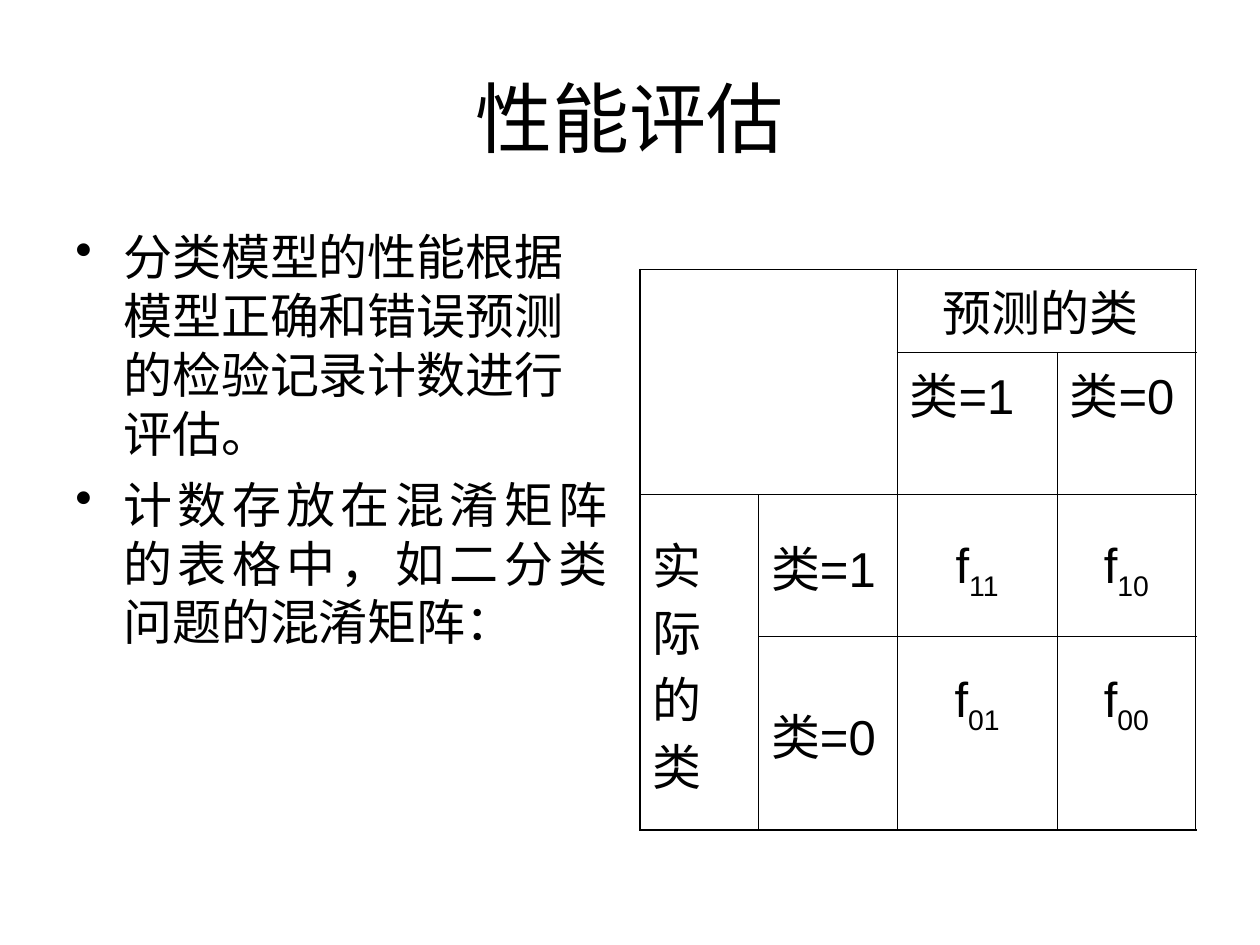
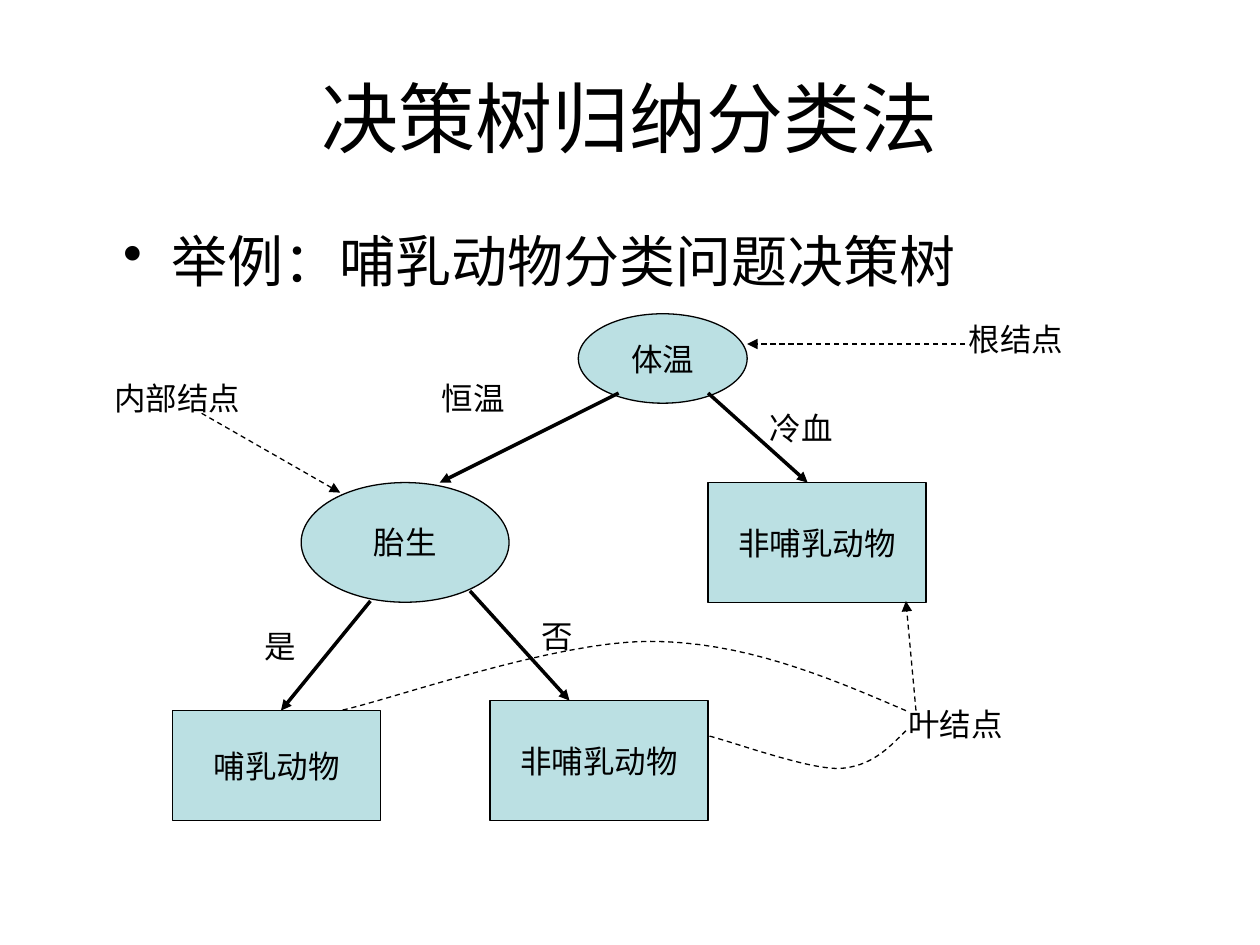
from lxml.etree import SubElement
from pptx import Presentation
from pptx.dml.color import RGBColor
from pptx.enum.dml import MSO_LINE
from pptx.enum.lang import MSO_LANGUAGE_ID as LANG
from pptx.enum.shapes import MSO_CONNECTOR, MSO_SHAPE
from pptx.enum.text import MSO_ANCHOR as ANCHOR, PP_ALIGN as ALIGN
from pptx.oxml.ns import qn
from pptx.util import Inches, Pt

COLORS = {"ink": "000000", "node": "BBE0E3", "paper": "FFFFFF"}
FONT = "Arial"
BODY_SIZE, LABEL_SIZE = 28, 18
OUTER_BORDER, INNER_BORDER = 1.08, 0.45


def rgb(name):
    return RGBColor.from_string(COLORS[name])


def add_run(p, text, size, subscript=False):
    r = p.add_run()
    r.text = text
    f = r.font
    f.name, f.size, f.language_id = FONT, Pt(size), LANG.SIMPLIFIED_CHINESE
    f.color.rgb = rgb("ink")
    rPr = f._element
    SubElement(rPr, qn("a:ea")).set("typeface", FONT)
    if subscript:
        rPr.set("baseline", "-25000")


def next_paragraph(tf, index, gap=7):
    """Return the first paragraph, or a new one set off by gap points."""
    if index == 0:
        return tf.paragraphs[0]
    p = tf.add_paragraph()
    p.space_before = Pt(gap)
    return p


def add_textbox(slide, box, anchor=ANCHOR.TOP):
    tf = slide.shapes.add_textbox(*map(Inches, box)).text_frame
    tf.word_wrap = True
    tf.vertical_anchor = anchor
    return tf


def add_title(slide, text):
    p = add_textbox(slide, (0.5, 0.3, 9, 1.25), ANCHOR.MIDDLE).paragraphs[0]
    p.alignment = ALIGN.CENTER
    add_run(p, text, 44)


def add_bullets(slide, box, items, size):
    """Add bulleted (text, alignment) items."""
    tf = add_textbox(slide, box)
    for i, (text, align) in enumerate(items):
        p = next_paragraph(tf, i)
        pPr = p._p.get_or_add_pPr()
        pPr.set("marL", str(Inches(0.38)))
        pPr.set("indent", str(Inches(-0.38)))
        SubElement(pPr, qn("a:buChar")).set("char", "•")
        p.alignment = align
        add_run(p, text, size)


def add_label(slide, text, box):
    add_run(add_textbox(slide, box).paragraphs[0], text, LABEL_SIZE)


def add_node(slide, kind, text, box):
    sp = slide.shapes.add_shape(kind, *map(Inches, box))
    sp.shadow.inherit = False
    sp.fill.solid()
    sp.fill.fore_color.rgb = rgb("node")
    style_line(sp.line, 0.75)
    tf = sp.text_frame
    tf.word_wrap = False
    tf.vertical_anchor = ANCHOR.MIDDLE
    p = tf.paragraphs[0]
    p.alignment = ALIGN.CENTER
    add_run(p, text, LABEL_SIZE)


def style_line(line, width, dashed=False):
    line.color.rgb = rgb("ink")
    line.width = Pt(width)
    if dashed:
        line.dash_style = MSO_LINE.DASH


def add_arrow(slide, start, end, width, dashed=False):
    c = slide.shapes.add_connector(MSO_CONNECTOR.STRAIGHT, *map(Inches, start + end))
    style_line(c.line, width, dashed)
    SubElement(c.line._get_or_add_ln(), qn("a:tailEnd")).set("type", "triangle")
    SubElement(c._element.spPr, qn("a:effectLst"))


def bezier_points(p0, p1, p2, p3, steps=16):
    for i in range(1, steps + 1):
        t = i / steps
        u = 1 - t
        yield tuple(Inches(u**3 * a + 3 * u * u * t * b + 3 * u * t * t * c + t**3 * d)
                    for a, b, c, d in zip(p0, p1, p2, p3))


def add_dashed_curve(slide, points):
    """Draw joined cubic curves: a start, then two controls and an end for each."""
    builder = slide.shapes.build_freeform(*map(Inches, points[0]))
    for i in range(0, len(points) - 1, 3):
        builder.add_line_segments(bezier_points(*points[i:i + 4]), close=False)
    sp = builder.convert_to_shape()
    sp.shadow.inherit = False
    sp.fill.background()
    style_line(sp.line, 0.75, dashed=True)


def add_border(cell, side, width):
    ln = SubElement(cell._tc.get_or_add_tcPr(), qn(f"a:{side}"), w=str(Pt(width)))
    fill = SubElement(ln, qn("a:solidFill"))
    SubElement(fill, qn("a:srgbClr"), val=COLORS["ink"])


def style_cell(cell, row, col, n_rows, n_cols):
    """Heavy lines on the table's rim, thin ones inside, white fill."""
    at_rim = {
        "lnL": col == 0,
        "lnR": col + cell.span_width == n_cols,
        "lnT": row == 0,
        "lnB": row + cell.span_height == n_rows,
    }
    for side, rim in at_rim.items():
        if rim or not cell.is_spanned:
            add_border(cell, side, OUTER_BORDER if rim else INNER_BORDER)
    cell.fill.solid()
    cell.fill.fore_color.rgb = rgb("paper")
    cell.margin_top = Inches(0.14)


def fill_cell(cell, lines, anchor=ANCHOR.MIDDLE):
    cell.vertical_anchor = anchor
    for i, line in enumerate(lines):
        add_run(next_paragraph(cell.text_frame, i), line, BODY_SIZE)


def fill_count(cell, index):
    cell.vertical_anchor = ANCHOR.MIDDLE
    p = cell.text_frame.paragraphs[0]
    p.alignment = ALIGN.CENTER
    add_run(p, "f", BODY_SIZE)
    add_run(p, index, BODY_SIZE, subscript=True)


def add_confusion_matrix(slide):
    widths, heights = (0.94, 1.1, 1.27, 1.1), (0.66, 1.1, 1.1, 1.54)
    n_rows, n_cols = len(heights), len(widths)
    box = (5.08, 2.14, sum(widths), sum(heights))
    table = slide.shapes.add_table(n_rows, n_cols, *map(Inches, box)).table
    table.first_row = table.horz_banding = False
    for column, width in zip(table.columns, widths):
        column.width = Inches(width)
    for row, height in zip(table.rows, heights):
        row.height = Inches(height)

    cell = table.cell
    cell(0, 0).merge(cell(1, 1))
    cell(0, 2).merge(cell(0, 3))
    cell(2, 0).merge(cell(3, 0))
    for row in range(n_rows):
        for col in range(n_cols):
            style_cell(cell(row, col), row, col, n_rows, n_cols)

    fill_cell(cell(0, 2), ["预测的类"], ANCHOR.TOP)
    cell(0, 2).margin_left = Inches(0.36)
    fill_cell(cell(2, 0), "实际的类")
    for i, label in enumerate("10"):
        fill_cell(cell(1, 2 + i), [f"类={label}"], ANCHOR.TOP)
        fill_cell(cell(2 + i, 1), [f"类={label}"])
        for j, predicted in enumerate("10"):
            fill_count(cell(2 + i, 2 + j), label + predicted)
    for col in (2, 3):
        cell(3, col).margin_bottom = Inches(0.59)


def build_evaluation(slide):
    add_title(slide, "性能评估")
    add_bullets(slide, (0.5, 1.75, 4.42, 4.95), [
        ("分类模型的性能根据模型正确和错误预测的检验记录计数进行评估。", ALIGN.LEFT),
        ("计数存放在混淆矩阵的表格中，如二分类问题的混淆矩阵：", ALIGN.JUSTIFY),
    ], BODY_SIZE)
    add_confusion_matrix(slide)


def build_decision_tree(slide):
    add_title(slide, "决策树归纳分类法")
    add_bullets(slide, (0.88, 1.75, 9, 0.66),
                [("举例：哺乳动物分类问题决策树", ALIGN.LEFT)], 32)

    for kind, text, box in (
        (MSO_SHAPE.OVAL, "体温", (4.59, 2.49, 1.34, 0.71)),
        (MSO_SHAPE.OVAL, "胎生", (2.39, 3.83, 1.65, 0.95)),
        (MSO_SHAPE.RECTANGLE, "非哺乳动物", (5.62, 3.83, 1.73, 0.95)),
        (MSO_SHAPE.RECTANGLE, "哺乳动物", (1.37, 5.64, 1.65, 0.87)),
        (MSO_SHAPE.RECTANGLE, "非哺乳动物", (3.89, 5.56, 1.73, 0.95)),
    ):
        add_node(slide, kind, text, box)

    for start, end in (
        ((4.91, 3.12), (3.49, 3.83)),
        ((5.62, 3.12), (6.41, 3.83)),
        ((2.94, 4.77), (2.23, 5.64)),
        ((3.73, 4.69), (4.52, 5.56)),
    ):
        add_arrow(slide, start, end, 2)

    for text, left, top, width in (
        ("恒温", 3.41, 2.96, 0.87),
        ("冷血", 6.01, 3.2, 1.02),
        ("是", 2, 4.93, 0.55),
        ("否", 4.2, 4.85, 0.79),
        ("根结点", 7.59, 2.49, 1.5),
        ("内部结点", 0.81, 2.96, 1.5),
        ("叶结点", 7.11, 5.55, 1.26),
    ):
        add_label(slide, text, (left, top, width, 0.4))

    for start, end in (
        ((7.66, 2.73), (5.93, 2.73)),
        ((1.6, 3.28), (2.7, 3.91)),
        ((7.27, 5.64), (7.19, 4.77)),
    ):
        add_arrow(slide, start, end, 0.75, dashed=True)
    add_dashed_curve(slide, [(7.19, 5.8), (7.05, 5.94), (6.91, 6.09), (6.65, 6.1),
                             (6.39, 6.1), (5.79, 5.88), (5.62, 5.84)])
    add_dashed_curve(slide, [(7.19, 5.64), (6.54, 5.36), (5.89, 5.09), (5.15, 5.09),
                             (4.4, 5.09), (3.11, 5.55), (2.7, 5.64)])


def main():
    prs = Presentation()
    prs.slide_width, prs.slide_height = Inches(10), Inches(7.5)
    blank = prs.slide_layouts[6]
    for build in (build_evaluation, build_decision_tree):
        build(prs.slides.add_slide(blank))
    prs.save("out.pptx")


if __name__ == "__main__":
    main()
